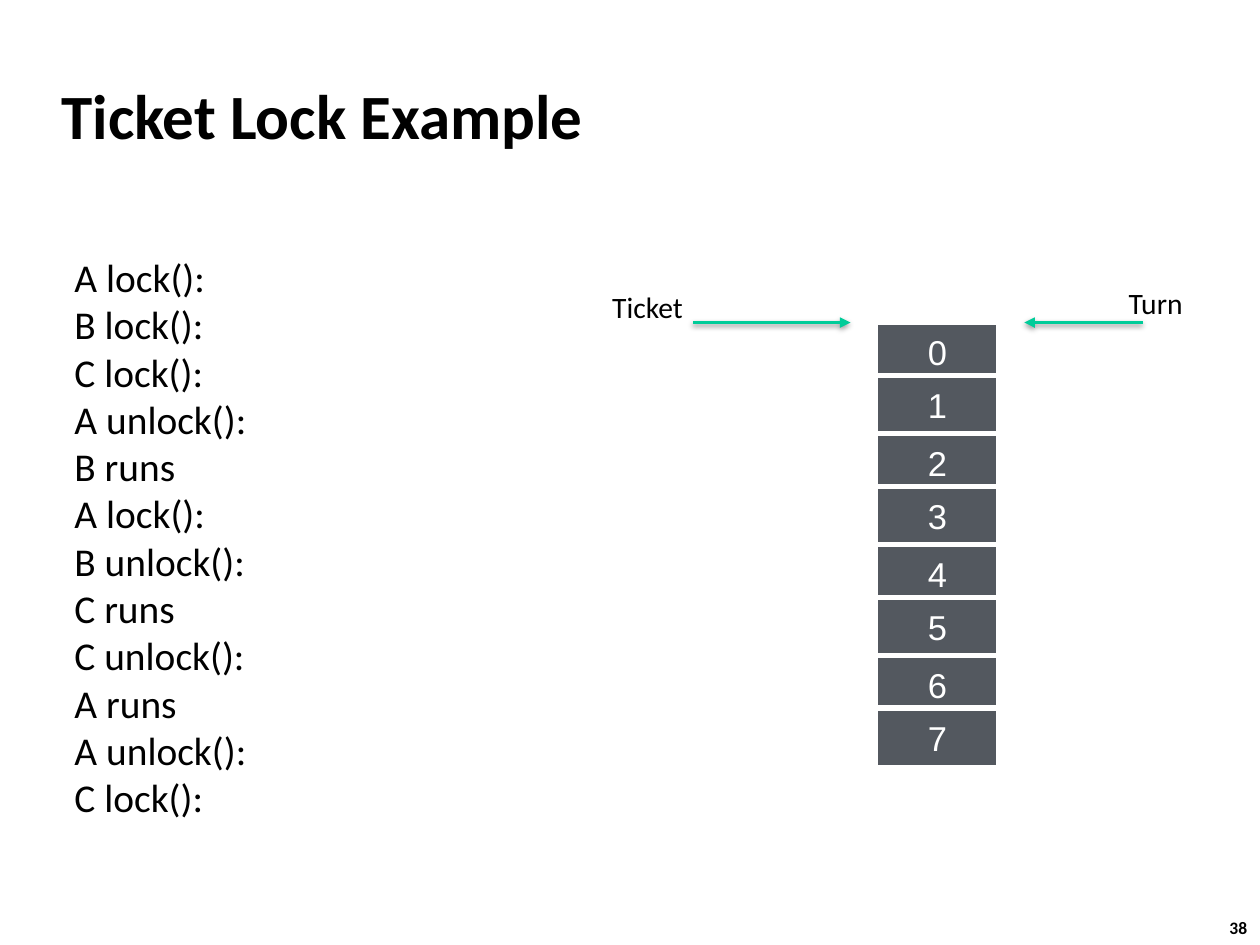
from lxml import etree
from pptx import Presentation
from pptx import util as u
from pptx.dml.color import RGBColor
from pptx.enum import shapes, text
from pptx.oxml import parse_xml
from pptx.oxml.ns import nsdecls, qn

BLACK = RGBColor(0x00, 0x00, 0x00)
WHITE = RGBColor(0xFF, 0xFF, 0xFF)
SLATE = RGBColor(0x53, 0x58, 0x5F)
GREEN = RGBColor(0x00, 0xCC, 0x99)

# Content
TITLE = "Ticket Lock Example"
PAGE_NUMBER = "38"
STEPS = [
    "A lock():", "B lock():", "C lock():", "A unlock():", "B runs", "A lock():",
    "B unlock():", "C runs", "C unlock():", "A runs", "A unlock():", "C lock():",
]
SLOTS = 8
# Label, its box, arrow start and end columns
POINTERS = [
    ("Ticket", (4.76, 2.24, 0.82, 0.38), 5.5, 6.75),
    ("Turn", (8.86, 2.21, 0.63, 0.38), 9.07, 8.13),
]

# Slot column: slots stand in pairs, the second overlapping the first
SLOT_LEFT, SLOT_TOP, SLOT_WIDTH, SLOT_HEIGHT = 6.95, 2.56, 0.98, 0.47
PAIR_PITCH, SLOT_PITCH = 0.88, 0.42

SHADOW = (
    f'<a:effectLst {nsdecls("a")}><a:outerShdw blurRad="{u.Pt(3.1)}" '
    f'dist="{u.Pt(1.6)}" dir="5400000" rotWithShape="0"><a:srgbClr val="000000">'
    '<a:alpha val="38000"/></a:srgbClr></a:outerShdw></a:effectLst>'
)

deck = Presentation()
deck.slide_width, deck.slide_height = u.Inches(10), u.Inches(7.5)
page = deck.slides.add_slide(deck.slide_layouts[6])


def style(frame, size, font="Calibri", color=BLACK, bold=False):
    for para in frame.paragraphs:
        for span in para.runs:
            span.font.name, span.font.size = font, u.Pt(size)
            span.font.color.rgb, span.font.bold = color, bold


def no_margins(frame):
    frame.margin_left = frame.margin_right = 0
    frame.margin_top = frame.margin_bottom = 0


def add_text(words, place, size, bold=False, wrap=False):
    box = page.shapes.add_textbox(*map(u.Inches, place))
    frame = box.text_frame
    frame.text = words
    frame.word_wrap = wrap
    if not wrap:
        frame.auto_size = text.MSO_AUTO_SIZE.SHAPE_TO_FIT_TEXT
    style(frame, size, bold=bold)
    return frame


def add_slot(number):
    pair, second = divmod(number, 2)
    top = SLOT_TOP + pair * PAIR_PITCH + second * SLOT_PITCH
    box = page.shapes.add_shape(
        shapes.MSO_SHAPE.RECTANGLE,
        *map(u.Inches, (SLOT_LEFT, top, SLOT_WIDTH, SLOT_HEIGHT)))
    box.shadow.inherit = False
    box.fill.solid()
    box.fill.fore_color.rgb = SLATE
    box.line.color.rgb, box.line.width = WHITE, u.Pt(3)
    frame = box.text_frame
    no_margins(frame)
    frame.text = str(number)
    frame.vertical_anchor = text.MSO_ANCHOR.MIDDLE
    frame.paragraphs[0].alignment = text.PP_ALIGN.CENTER
    style(frame, 19.7, "Arial", WHITE)


def add_arrow(start, end):
    arrow = page.shapes.add_connector(
        shapes.MSO_CONNECTOR.STRAIGHT,
        *map(u.Inches, (start, SLOT_TOP, end, SLOT_TOP)))
    arrow.line.color.rgb, arrow.line.width = GREEN, u.Pt(2)
    etree.SubElement(arrow.line._get_or_add_ln(), qn("a:tailEnd"), type="triangle")
    arrow._element.spPr.append(parse_xml(SHADOW))


# Title and page number
title = add_text(TITLE, (0.39, 0.49, 8.3, 0.83), 36, bold=True, wrap=True)
title.vertical_anchor = text.MSO_ANCHOR.MIDDLE
add_text(PAGE_NUMBER, (9.66, 7.23, 0.37, 0.27), 10, bold=True)

# Sequence of lock operations
no_margins(add_text("\n".join(STEPS), (0.59, 2.01, 1.45, 4.54), 22.5))

# Queue of slots
for number in range(SLOTS):
    add_slot(number)

# Pointers into the queue
for label, place, start, end in POINTERS:
    add_arrow(start, end)
    add_text(label, place, 16.9)

deck.save("out.pptx")
